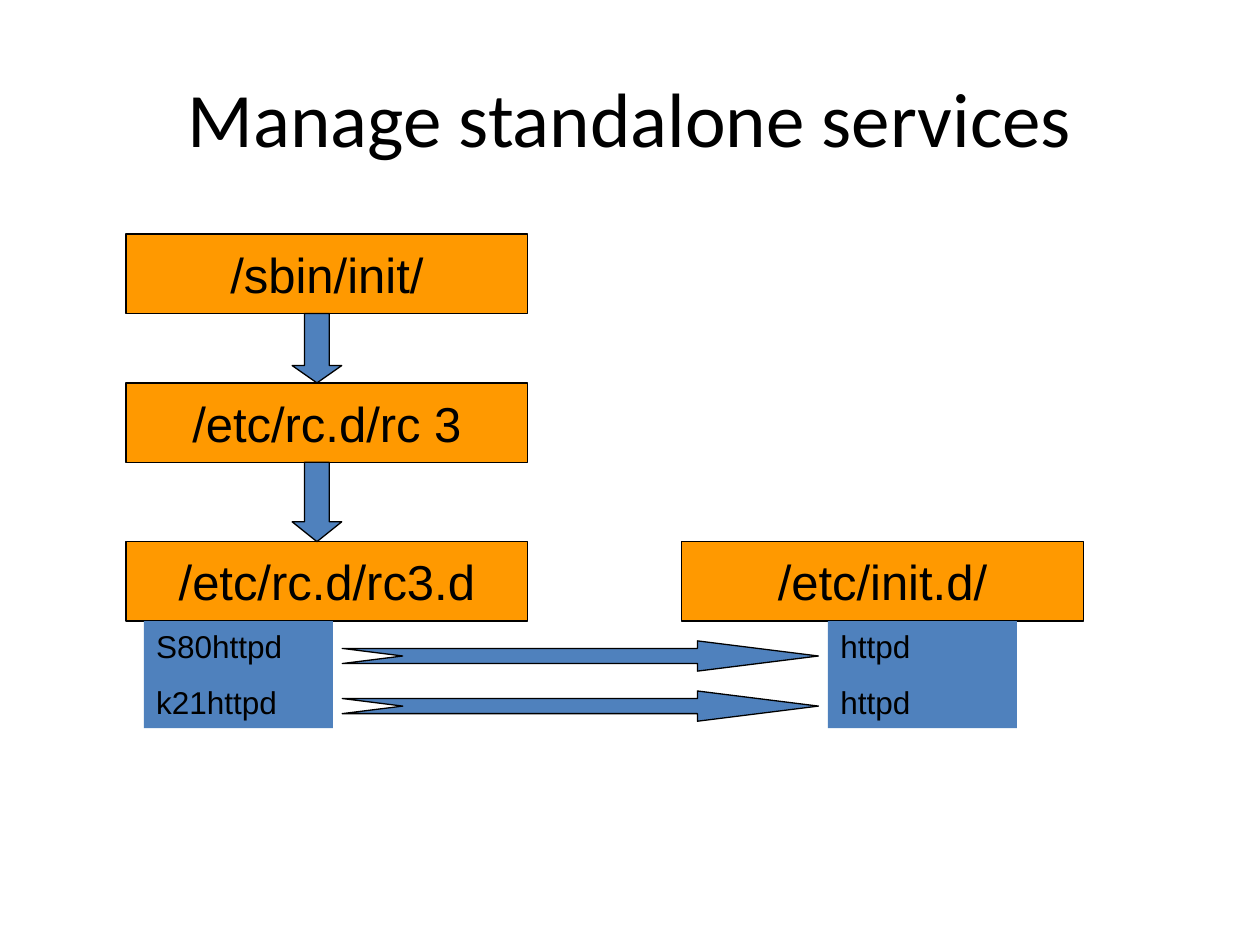
"""Build a slide showing how init starts standalone services."""
from dataclasses import dataclass

from pptx import Presentation
from pptx.dml.color import RGBColor
from pptx.enum.shapes import MSO_SHAPE
from pptx.enum.text import MSO_ANCHOR, PP_ALIGN
from pptx.util import Cm, Pt

RECTANGLE = MSO_SHAPE.RECTANGLE
DOWN_ARROW = MSO_SHAPE.DOWN_ARROW
NOTCHED_ARROW = MSO_SHAPE.NOTCHED_RIGHT_ARROW
MIDDLE, TOP = MSO_ANCHOR.MIDDLE, MSO_ANCHOR.TOP
CENTER, LEFT = PP_ALIGN.CENTER, PP_ALIGN.LEFT

COLORS = {"text": "000000", "line": "000000", "path": "FF9900", "service": "4F81BD"}

BOX_WIDTH, BOX_HEIGHT = 8.1, 1.6
LEFT_COLUMN, RIGHT_COLUMN = 2.54, 13.74
ROWS = (4.72, 7.72, 10.92)
LIST_TOP = ROWS[-1] + BOX_HEIGHT
LIST_WIDTH, LIST_HEIGHT = 3.81, 2.16


@dataclass(frozen=True)
class PathBox:
    label: str
    left: float
    top: float


@dataclass(frozen=True)
class ServiceList:
    names: tuple[str, ...]
    left: float


@dataclass(frozen=True)
class Arrow:
    kind: MSO_SHAPE
    left: float
    top: float
    width: float
    height: float
    head: float


PATH_BOXES = (
    PathBox("/sbin/init/", LEFT_COLUMN, ROWS[0]),
    PathBox("/etc/rc.d/rc 3", LEFT_COLUMN, ROWS[1]),
    PathBox("/etc/rc.d/rc3.d", LEFT_COLUMN, ROWS[2]),
    PathBox("/etc/init.d/", RIGHT_COLUMN, ROWS[2]),
)
SERVICE_LISTS = (
    ServiceList(("S80httpd", "k21httpd"), 2.9),
    ServiceList(("httpd", "httpd"), 16.69),
)
STEP_ARROWS = tuple(
    Arrow(DOWN_ARROW, 5.89, upper + BOX_HEIGHT, 1, lower - upper - BOX_HEIGHT, head)
    for upper, lower, head in zip(ROWS, ROWS[1:], (0.35, 0.4))
)
LINK_ARROWS = tuple(
    Arrow(NOTCHED_ARROW, 6.9, top, 9.6, 0.61, 4) for top in (12.92, 13.93)
)


def write(shape, lines: tuple[str, ...], size: int, font_name: str,
          alignment: PP_ALIGN, anchor: MSO_ANCHOR) -> None:
    """Fill a shape with one paragraph per line."""
    frame = shape.text_frame
    frame.word_wrap = True
    frame.vertical_anchor = anchor
    frame.text = "\n".join(lines)
    for index, paragraph in enumerate(frame.paragraphs):
        paragraph.alignment = alignment
        paragraph.font.size = Pt(size)
        paragraph.font.name = font_name
        paragraph.font.color.rgb = RGBColor.from_string(COLORS["text"])
        if index:
            paragraph.space_before = Pt(10)


def add_filled_shape(slide, kind: MSO_SHAPE, left: float, top: float, width: float,
                     height: float, color: str, outlined: bool = True):
    """Add a flat preset shape measured in centimetres."""
    shape = slide.shapes.add_shape(kind, Cm(left), Cm(top), Cm(width), Cm(height))
    shape.shadow.inherit = False
    shape.fill.solid()
    shape.fill.fore_color.rgb = RGBColor.from_string(COLORS[color])
    if outlined:
        shape.line.color.rgb = RGBColor.from_string(COLORS["line"])
        shape.line.width = Pt(0.75)
    else:
        shape.line.fill.background()
    return shape


def add_path_box(slide, box: PathBox) -> None:
    """Add an orange box naming a path."""
    shape = add_filled_shape(slide, RECTANGLE, box.left, box.top,
                             BOX_WIDTH, BOX_HEIGHT, "path")
    write(shape, (box.label,), 28, "Arial", CENTER, MIDDLE)


def add_service_list(slide, services: ServiceList) -> None:
    """Add a blue list of services below a path box."""
    shape = add_filled_shape(slide, RECTANGLE, services.left, LIST_TOP,
                             LIST_WIDTH, LIST_HEIGHT, "service", outlined=False)
    write(shape, services.names, 18, "Arial", LEFT, TOP)


def add_arrow(slide, arrow: Arrow) -> None:
    """Add a block arrow."""
    shape = add_filled_shape(slide, arrow.kind, arrow.left, arrow.top,
                             arrow.width, arrow.height, "service")
    shape.adjustments[0] = 0.5
    shape.adjustments[1] = arrow.head


def main() -> None:
    """Create and save the presentation."""
    presentation = Presentation()
    presentation.slide_width, presentation.slide_height = Cm(25.4), Cm(19.05)
    slide = presentation.slides.add_slide(presentation.slide_layouts[6])
    title = slide.shapes.add_textbox(Cm(1.27), Cm(0.76), Cm(22.86), Cm(3.18))
    write(title, ("Manage standalone services",), 44, "Calibri", CENTER, MIDDLE)
    for box in PATH_BOXES:
        add_path_box(slide, box)
    for services in SERVICE_LISTS:
        add_service_list(slide, services)
    for arrow in STEP_ARROWS + LINK_ARROWS:
        add_arrow(slide, arrow)
    presentation.save("out.pptx")


if __name__ == "__main__":
    main()
